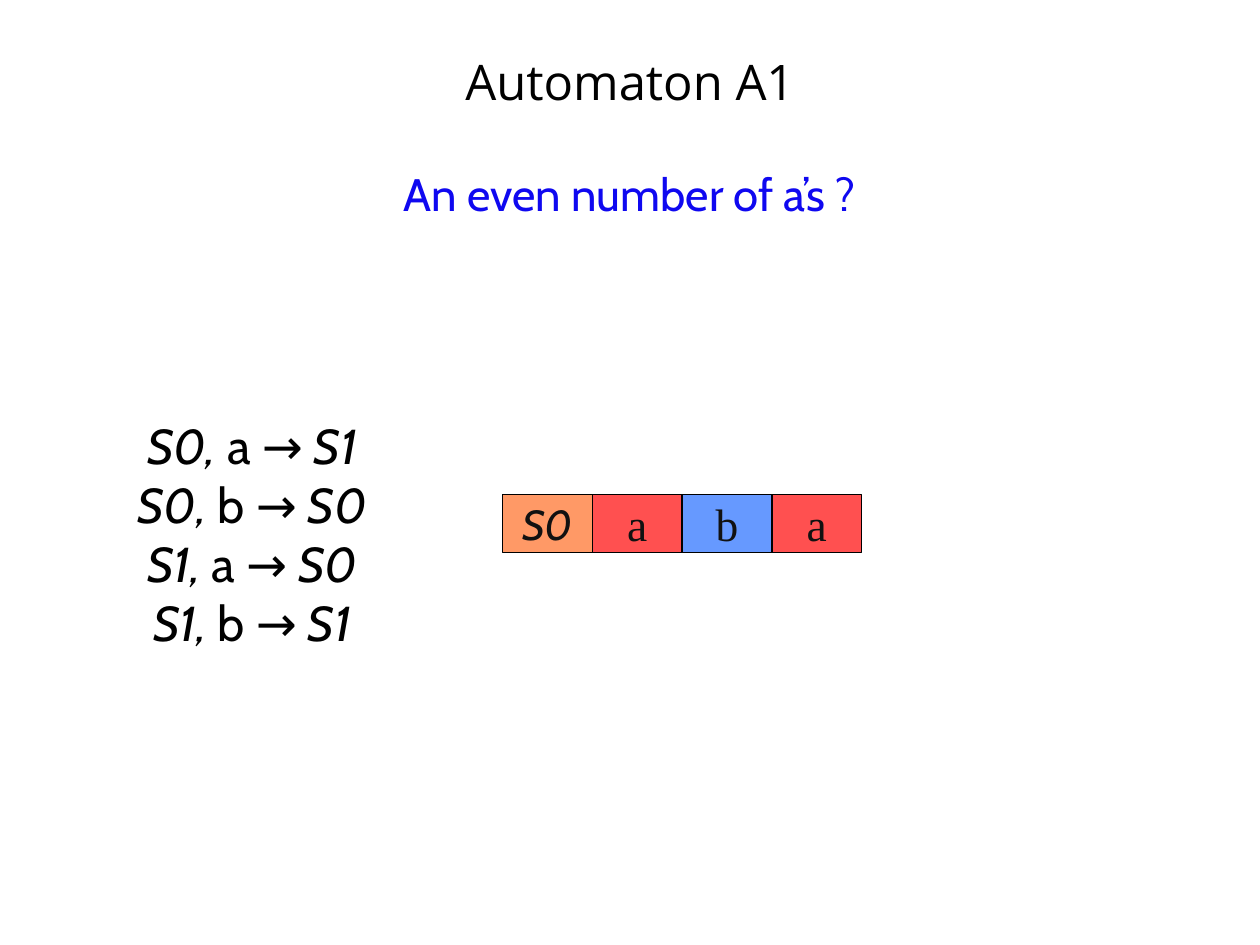
from dataclasses import dataclass

from pptx import Presentation
from pptx.dml.color import RGBColor
from pptx.enum.shapes import MSO_SHAPE
from pptx.enum.text import MSO_ANCHOR, PP_ALIGN
from pptx.util import Pt

RECTANGLE = MSO_SHAPE.RECTANGLE
CENTER = PP_ALIGN.CENTER
MIDDLE = MSO_ANCHOR.MIDDLE

BLACK, INK, BLUE = "000000", "111111", "0F08F0"
ORANGE, RED, LIGHT_BLUE = "FF9966", "FF5050", "6699FF"
SERIF, SANS, TITLE_FONT = "Times New Roman", "Cabin", "Open Sans"

PAGE_WIDTH, PAGE_HEIGHT = 720, 540
TAPE_LEFT, TAPE_TOP, TAPE_PITCH = 287.3, 282.5, 51.3
CELL_WIDTH, CELL_HEIGHT = 51.1, 33.1


@dataclass(frozen=True)
class Cell:
    symbol: str
    fill: str
    font: str = SERIF
    size: float = 26
    italic: bool = False


@dataclass(frozen=True)
class Transition:
    state: str
    symbol: str
    target: str


TAPE = [
    Cell("S0", ORANGE, font=SANS, size=24, italic=True),
    Cell("a", RED),
    Cell("b", LIGHT_BLUE),
    Cell("a", RED),
]

TRANSITIONS = [
    Transition("S0", "a", "S1"),
    Transition("S0", "b", "S0"),
    Transition("S1", "a", "S0"),
    Transition("S1", "b", "S1"),
]


def color(value: str) -> RGBColor:
    return RGBColor.from_string(value)


def add_span(para, text: str, *, font: str, size: float, fill: str = BLACK,
             italic: bool = False) -> None:
    para.alignment = CENTER
    span = para.add_run()
    span.text = text
    span.font.name = font
    span.font.size = Pt(size)
    span.font.italic = italic
    span.font.color.rgb = color(fill)


def add_box(page, left: float, top: float, width: float, height: float):
    box = page.shapes.add_textbox(Pt(left), Pt(top), Pt(width), Pt(height))
    box.text_frame.word_wrap = True
    return box.text_frame


def add_cell(page, cell: Cell, left: float) -> None:
    box = page.shapes.add_shape(RECTANGLE, Pt(left), Pt(TAPE_TOP),
                                Pt(CELL_WIDTH), Pt(CELL_HEIGHT))
    box.shadow.inherit = False
    box.fill.solid()
    box.fill.fore_color.rgb = color(cell.fill)
    box.line.color.rgb = color(BLACK)
    box.line.width = Pt(0.75)
    frame = box.text_frame
    frame.word_wrap = False
    frame.vertical_anchor = MIDDLE
    add_span(frame.paragraphs[0], cell.symbol, font=cell.font, size=cell.size,
             fill=INK, italic=cell.italic)


def add_transition(para, rule: Transition) -> None:
    add_span(para, f"{rule.state}, ", font=SANS, size=28, italic=True)
    add_span(para, rule.symbol, font=SANS, size=28)
    add_span(para, f" → {rule.target}", font=SANS, size=28, italic=True)


def main() -> None:
    deck = Presentation()
    deck.slide_width, deck.slide_height = Pt(PAGE_WIDTH), Pt(PAGE_HEIGHT)
    page = deck.slides.add_slide(deck.slide_layouts[6])

    # Title and question
    title = add_box(page, 0, 26, PAGE_WIDTH, 41)
    add_span(title.paragraphs[0], "Automaton A1", font=TITLE_FONT, size=28)
    question = add_box(page, 0, 91.5, PAGE_WIDTH, 38)
    add_span(question.paragraphs[0], "An even number of a’s ?", font=SANS,
             size=26, fill=BLUE)

    # Transition rules
    rules = add_box(page, 60, 234, 168, 142)
    for index, rule in enumerate(TRANSITIONS):
        para = rules.add_paragraph() if index else rules.paragraphs[0]
        add_transition(para, rule)

    # Input tape, led by the current state
    for index, cell in enumerate(TAPE):
        add_cell(page, cell, TAPE_LEFT + index * TAPE_PITCH)

    deck.save("out.pptx")


if __name__ == "__main__":
    main()
